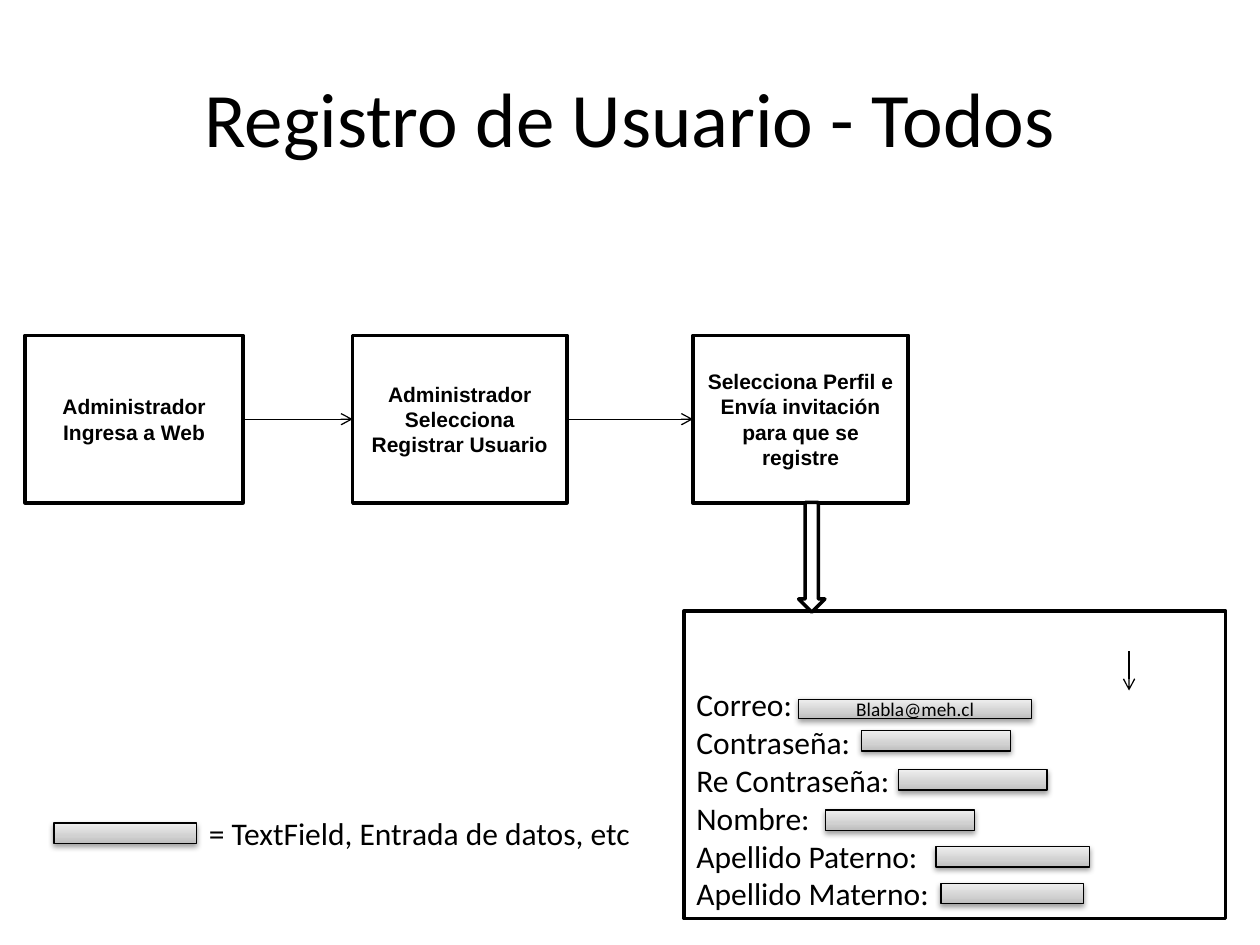
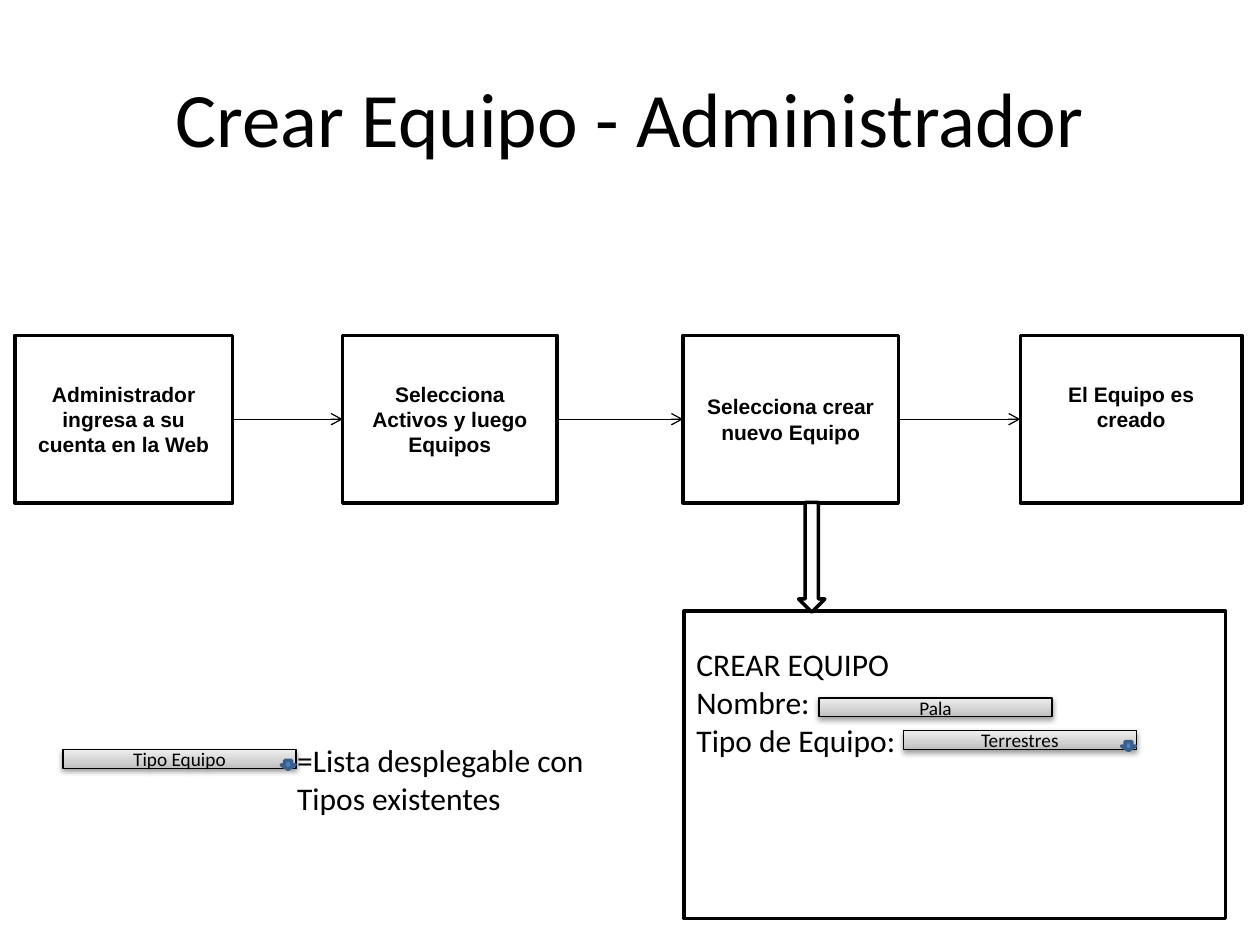
"""Build two flow slides: user registration and equipment creation."""
import pptx
import pptx.util
import pptx.dml.color
import pptx.enum.shapes
import pptx.enum.text
import pptx.oxml
import pptx.oxml.ns

Cm, Pt = pptx.util.Cm, pptx.util.Pt
SHAPE = pptx.enum.shapes.MSO_SHAPE
ALIGN = pptx.enum.text.PP_ALIGN
ANCHOR = pptx.enum.text.MSO_ANCHOR
qn = pptx.oxml.ns.qn
NS = pptx.oxml.ns.nsdecls("a")

BLACK, WHITE, BLUE, DARK_BLUE = "000000", "FFFFFF", "4F81BD", "3A5F8C"
FIELD_STOPS = [(0, "BDBDBD"), (35000, "D1D1D1"), (100000, "EEEEEE")]
FIELD_SHADOW = (
    f'<a:outerShdw {NS} blurRad="40000" dist="20000" dir="5400000" rotWithShape="0">'
    f'<a:srgbClr val="{BLACK}"><a:alpha val="38000"/></a:srgbClr></a:outerShdw>')

TITLE_FONT = {"name": "Calibri", "size": Pt(44)}
STEP_FONT = {"name": "Arial", "size": Pt(12), "bold": True}
BODY_FONT = {"name": "Calibri", "size": Pt(18)}
FIELD_FONT = {"name": "Calibri", "size": Pt(11)}

STEP_TOP, STEP_HEIGHT = 6.76, 3.38
PANEL = (13.79, 12.32, 10.92, 6.2)
PANEL_ARROW = (16.1, 10.13, 0.53, 2.21)

SLIDES = [
    {
        "title": "Registro de Usuario - Todos",
        "steps": [
            (0.51, 4.39, "Administrador Ingresa a Web", 0.13),
            (7.11, 4.32, "Administrador Selecciona Registrar Usuario", 0.13),
            (13.97, 4.34, "Selecciona Perfil e Envía invitación para que se registre", 0.13),
        ],
        "panel": ["Correo:", "Contraseña:", "Re Contraseña:", "Nombre:",
                  "Apellido Paterno:", "Apellido Materno:"],
        "panel_bottom": 0.13,
        "fields": [
            (16.1, 14.1, 4.7, 0.38, "Blabla@meh.cl"),
            (17.37, 14.73, 3, 0.41, ""),
            (18.11, 15.52, 3, 0.41, ""),
            (16.64, 16.33, 3, 0.41, ""),
            (18.87, 17.07, 3.1, 0.41, ""),
            (18.97, 17.81, 2.87, 0.41, ""),
            (1.09, 16.59, 2.87, 0.41, ""),
        ],
        "dropdowns": [],
        "legend": ((3.96, 16.28, 9.09, 1.02), ["= TextField, Entrada de datos, etc"]),
        "loose_arrows": [(22.76, 13.13, 22.76, 13.92)],
    },
    {
        "title": "Crear Equipo - Administrador",
        "steps": [
            (0.3, 4.39, "Administrador ingresa a su cuenta en la Web", 0.13),
            (6.91, 4.32, "Selecciona Activos y luego Equipos", 0.13),
            (13.77, 4.34, "Selecciona crear nuevo Equipo", 0.13),
            (20.57, 4.47, "El Equipo es creado", 0.64),
        ],
        "panel": ["CREAR EQUIPO", "Nombre:", "Tipo de Equipo:"],
        "panel_bottom": 3.23,
        "fields": [(16.51, 14.07, 4.7, 0.38, "Pala")],
        "dropdowns": [
            (18.21, 14.73, 4.7, 0.38, "Terrestres"),
            (1.27, 15.11, 4.7, 0.38, "Tipo Equipo"),
        ],
        "legend": ((5.74, 14.81, 6.5, 1.8), ["=Lista desplegable con", "Tipos existentes"]),
        "loose_arrows": [],
    },
]


def rgb(value):
    """Turn a hex string into a colour."""
    return pptx.dml.color.RGBColor.from_string(value)


def add_box(slide, kind, bounds, lines=(), font=BODY_FONT, align=ALIGN.CENTER,
            fill=WHITE, line=BLACK, weight=2):
    """Add a filled, outlined shape with its lines of text; kind None is a text box."""
    place = [Cm(length) for length in bounds]
    if kind is None:
        box = slide.shapes.add_textbox(*place)
    else:
        box = slide.shapes.add_shape(kind, *place)
        box.fill.solid()
        box.fill.fore_color.rgb = rgb(fill)
        box.line.color.rgb = rgb(line)
        box.line.width = Pt(weight)
        box.shadow.inherit = False
    for number, text in enumerate(lines):
        frame = box.text_frame
        paragraph = frame.add_paragraph() if number else frame.paragraphs[0]
        paragraph.alignment = align
        run = paragraph.add_run()
        run.text = text
        run.font.color.rgb = rgb(BLACK)
        for attribute, value in font.items():
            setattr(run.font, attribute, value)
    return box


deck = pptx.Presentation()
deck.slide_width, deck.slide_height = Cm(25.4), Cm(19.05)

for content in SLIDES:
    slide = deck.slides.add_slide(deck.slide_layouts[5])
    title = slide.shapes.title
    title.left, title.top, title.width, title.height = Cm(1.27), Cm(0.76), Cm(22.86), Cm(3.18)
    title.text_frame.text = content["title"]
    title.text_frame.vertical_anchor = ANCHOR.MIDDLE
    heading = title.text_frame.paragraphs[0]
    heading.alignment = ALIGN.CENTER
    heading.font.color.rgb = rgb(BLACK)
    for attribute, value in TITLE_FONT.items():
        setattr(heading.font, attribute, value)

    steps = []
    for left, width, text, bottom_margin in content["steps"]:
        step = add_box(slide, SHAPE.RECTANGLE, (left, STEP_TOP, width, STEP_HEIGHT),
                       [text], STEP_FONT)
        step.text_frame.margin_bottom = Cm(bottom_margin)
        steps.append(step)

    panel = add_box(slide, SHAPE.RECTANGLE, PANEL, content["panel"], align=ALIGN.LEFT)
    panel.text_frame.vertical_anchor = ANCHOR.BOTTOM
    panel.text_frame.margin_bottom = Cm(content["panel_bottom"])
    add_box(slide, SHAPE.DOWN_ARROW, PANEL_ARROW)

    arrows = []
    for before, after in zip(steps, steps[1:]):
        arrow = slide.shapes.add_connector(pptx.enum.shapes.MSO_CONNECTOR.STRAIGHT, 0, 0, 0, 0)
        arrow.begin_connect(before, 3)
        arrow.end_connect(after, 1)
        arrows.append(arrow)
    for ends in content["loose_arrows"]:
        arrows.append(slide.shapes.add_connector(
            pptx.enum.shapes.MSO_CONNECTOR.STRAIGHT, *[Cm(length) for length in ends]))
    for arrow in arrows:
        arrow.line.color.rgb = rgb(BLACK)
        arrow.line.width = Pt(0.75)
        outline = arrow.line._get_or_add_ln()
        outline.append(pptx.oxml.parse_xml(f'<a:tailEnd {NS} type="arrow"/>'))
        arrow._element.spPr.append(pptx.oxml.parse_xml(f"<a:effectLst {NS}/>"))

    for *bounds, text in content["fields"] + content["dropdowns"]:
        field = add_box(slide, SHAPE.RECTANGLE, bounds, [text] if text else [],
                        FIELD_FONT, weight=0.75)
        field.fill.gradient()
        field.fill.gradient_angle = 90
        properties = field._element.spPr
        stops = properties.find(".//" + qn("a:gsLst"))
        for stop in list(stops):
            stops.remove(stop)
        for position, colour in FIELD_STOPS:
            stops.append(pptx.oxml.parse_xml(
                f'<a:gs {NS} pos="{position}"><a:srgbClr val="{colour}"/></a:gs>'))
        properties.find(qn("a:effectLst")).append(pptx.oxml.parse_xml(FIELD_SHADOW))

    for left, top, *_ in content["dropdowns"]:
        add_box(slide, SHAPE.DOWN_ARROW, (left + 4.4, top + 0.22, 0.28, 0.18),
                fill=BLUE, line=DARK_BLUE)

    legend_bounds, legend_lines = content["legend"]
    legend = add_box(slide, None, legend_bounds, legend_lines, align=ALIGN.LEFT)
    legend.text_frame.word_wrap = False

deck.save("out.pptx")
